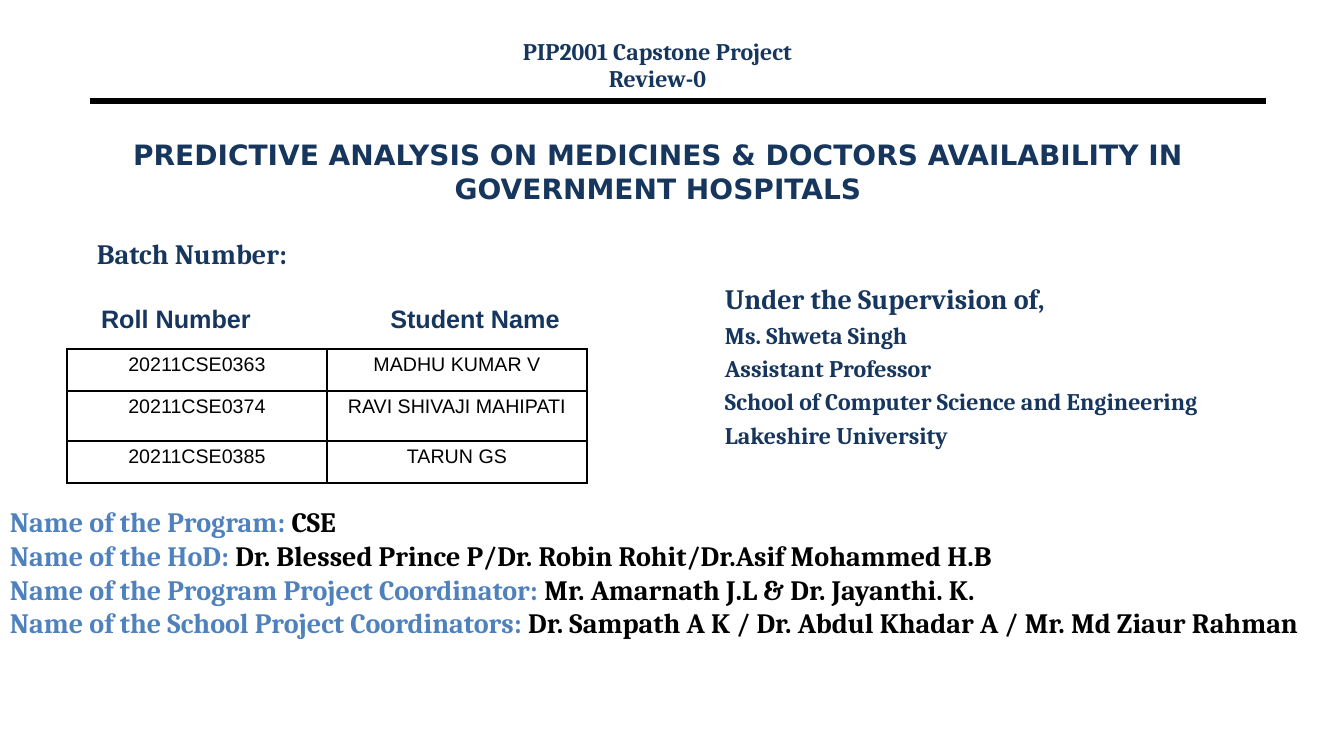
import lxml.etree
import pptx
import pptx.dml.color
import pptx.enum.shapes
import pptx.enum.text
import pptx.oxml.ns
import pptx.util

NAVY = pptx.dml.color.RGBColor(0x17, 0x36, 0x5D)
BLUE = pptx.dml.color.RGBColor(0x4F, 0x81, 0xBD)
BLACK = pptx.dml.color.RGBColor(0, 0, 0)
ALIGN = pptx.enum.text.PP_ALIGN
ANCHOR = pptx.enum.text.MSO_ANCHOR

COURSE = ["PIP2001 Capstone Project", "Review-0"]
TITLE = "PREDICTIVE ANALYSIS ON MEDICINES & DOCTORS AVAILABILITY IN GOVERNMENT HOSPITALS"
BATCH = "Batch Number:"
SUPERVISION = "Under the Supervision of,"
SUPERVISOR = [
    "Ms. Shweta Singh",
    "Assistant Professor",
    "School of Computer Science and Engineering",
    "Lakeshire University",
]
HEADINGS = [("Roll Number", "Student Name")] + [("", "")] * 5
STUDENTS = [
    ("20211CSE0363", "MADHU KUMAR V"),
    ("20211CSE0374", "RAVI SHIVAJI MAHIPATI"),
    ("20211CSE0385", "TARUN GS"),
]
STAFF = [
    ("Name of the Program: ", "CSE"),
    ("Name of the HoD: ", "Dr. Blessed Prince P/Dr. Robin Rohit/Dr.Asif Mohammed H.B"),
    ("Name of the Program Project Coordinator: ", "Mr. Amarnath J.L & Dr. Jayanthi. K."),
    ("Name of the School Project Coordinators: ",
     "Dr. Sampath A K / Dr. Abdul Khadar A / Mr. Md Ziaur Rahman"),
]


def px(length):
    return pptx.util.Emu(round(length * 914400 / 100.8))


def add_run(paragraph, text, size, font="Cambria", color=NAVY, bold=True):
    run = paragraph.add_run()
    run.text = text
    run.font.size = pptx.util.Pt(size)
    run.font.name = font
    run.font.color.rgb = color
    run.font.bold = bold


def add_text(slide, box, lines, align=ALIGN.LEFT, anchor=ANCHOR.TOP, line_spacing=None, gap=0):
    frame = slide.shapes.add_textbox(*map(px, box)).text_frame
    frame.word_wrap = True
    frame.vertical_anchor = anchor
    for index, runs in enumerate(lines):
        paragraph = frame.add_paragraph() if index else frame.paragraphs[0]
        paragraph.alignment = align
        paragraph.line_spacing = line_spacing
        paragraph.space_before = pptx.util.Pt(gap if index else 0)
        for run in runs:
            add_run(paragraph, *run)


def add_borders(cell):
    properties = cell._tc.get_or_add_tcPr()
    for index, side in enumerate(("lnL", "lnR", "lnT", "lnB")):
        border = lxml.etree.Element(pptx.oxml.ns.qn("a:" + side), w="12700")
        fill = lxml.etree.SubElement(border, pptx.oxml.ns.qn("a:solidFill"))
        lxml.etree.SubElement(fill, pptx.oxml.ns.qn("a:srgbClr"), val=str(BLACK))
        properties.insert(index, border)


def add_table(slide, left, top, widths, heights, rows, style, anchor, bordered):
    table = slide.shapes.add_table(
        len(rows), len(widths), px(left), px(top), px(sum(widths)), px(sum(heights))
    ).table
    table.first_row = False
    table.horz_banding = False
    for column, width in zip(table.columns, widths):
        column.width = px(width)
    for row, height, texts in zip(table.rows, heights, rows):
        row.height = px(height)
        for cell, text in zip(row.cells, texts):
            cell.fill.background()
            cell.vertical_anchor = anchor
            if bordered:
                add_borders(cell)
            if text:
                paragraph = cell.text_frame.paragraphs[0]
                paragraph.alignment = ALIGN.CENTER
                add_run(paragraph, text, *style)


def main():
    presentation = pptx.Presentation()
    presentation.slide_width = px(1344)
    presentation.slide_height = px(756)
    slide = presentation.slides.add_slide(presentation.slide_layouts[6])

    rule = slide.shapes.add_connector(
        pptx.enum.shapes.MSO_CONNECTOR.STRAIGHT, px(90), px(101), px(1266), px(101)
    )
    rule.line.color.rgb = BLACK
    rule.line.width = pptx.util.Pt(4.5)
    lxml.etree.SubElement(rule._element.spPr, pptx.oxml.ns.qn("a:effectLst"))

    add_text(slide, (87, 118, 1142, 106), [[(TITLE, 20, "DejaVu Sans")]],
             ALIGN.CENTER, ANCHOR.MIDDLE)
    add_text(slide, (87, 232, 437, 60), [[(BATCH, 20)]])
    add_table(slide, 61, 300, (230, 368), [40] * len(HEADINGS), HEADINGS,
              (18, "Arial", NAVY, True), ANCHOR.MIDDLE, False)
    add_text(slide, (715, 277, 608, 223),
             [[(SUPERVISION, 20)]] + [[(line, 17)] for line in SUPERVISOR], gap=3.4)
    add_text(slide, (439, 37, 437, 60), [[(line, 17)] for line in COURSE],
             ALIGN.CENTER, line_spacing=0.8, gap=3.1)
    add_text(slide, (0, 500, 1351, 172),
             [[(label, 20, "Cambria", BLUE), (names, 20, "Cambria", BLACK)]
              for label, names in STAFF])
    add_table(slide, 67, 349, (260, 260), (42, 50, 42), STUDENTS,
              (14, "Arial", BLACK, False), ANCHOR.TOP, True)

    presentation.save("out.pptx")


if __name__ == "__main__":
    main()
